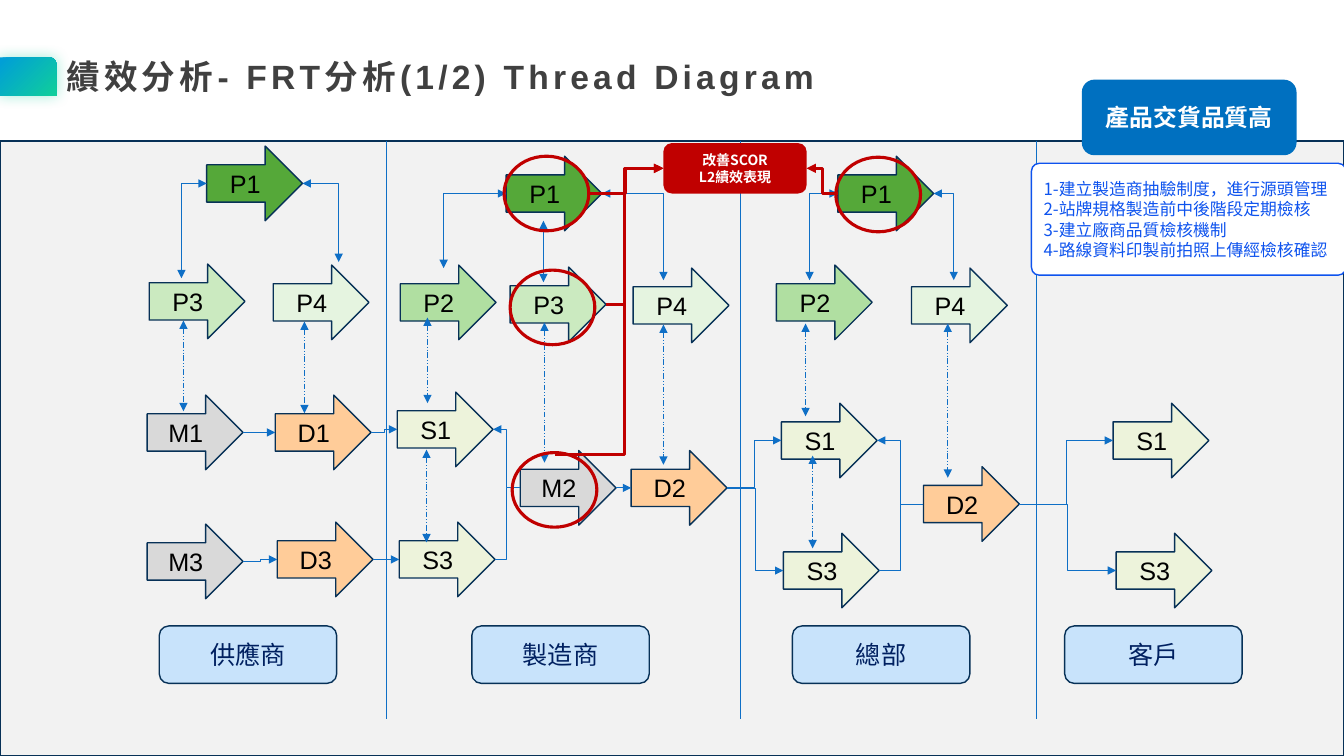
from pptx import Presentation, util as u
from pptx.dml.color import RGBColor
from pptx.enum import dml, shapes, text
from pptx.oxml import parse_xml
from pptx.oxml.ns import nsdecls, qn

HUES = {
    "back": "F2F2F2", "edge": "073157", "blue": "0F6FC6", "tag": "C8E3FB",
    "navy": "002060", "red": "C00000", "goal": "0070C0", "note": "0E53EE",
    "white": "FFFFFF", "black": "000000", "title": "404040",
    "mint": "10CF9B", "sky": "009DD9",
    "P1": "55A839", "P2": "B0DFA1", "P3": "CBEAC0", "P4": "E5F4E0",
    "M": "D9D9D9", "D": "FFCC99", "S": "EDF3DB",
}
CJK = "Noto Sans CJK SC"
KIND = shapes.MSO_SHAPE
LINE = shapes.MSO_CONNECTOR
SIZE = (0.95, 0.74)
PORTS = {"left": (0, 0.5), "right": (1, 0.5)}

LANES = [
    ("供應商", 0, 3.83, 1.58,
     {"M1": (1.46, 2.52), "M3": (1.46, 3.8), "D1": (2.73, 2.52), "D3": (2.75, 3.78),
      "P4": (2.71, 1.23), "P3": (1.48, 1.22), "P1": (2.05, 0.05)},
     {"left": (1.8, 1.36), "right": (3.36, 1.2)},
     [(1.82, 1.78, 2.68), (3.02, 1.79, 2.7)]),
    ("製造商", 3.83, 3.51, 0.85,
     {"S1": (0.11, 2.49), "S3": (0.13, 3.78), "M2": (1.33, 3.07), "D2": (2.43, 3.07),
      "P4": (2.45, 1.26), "P3": (1.23, 1.25), "P2": (0.14, 1.23), "P1": (1.19, 0.15)},
     {"left": (0.57, 1.26), "right": (2.75, 1.38)},
     [(2.75, 1.82, 3.21), (1.57, 1.8, 3.19), (0.41, 1.75, 2.6), (0.4, 3.06, 3.98)]),
    ("總部", 7.34, 2.94, 0.52,
     {"D2": (1.82, 3.23), "S1": (0.41, 2.6), "S3": (0.43, 3.89),
      "P4": (1.7, 1.26), "P2": (0.36, 1.23), "P1": (0.97, 0.15)},
     {"left": (0.69, 1.38), "right": (2.12, 1.38)},
     [(2.06, 1.81, 3.34), (0.65, 1.81, 2.73), (0.72, 3.12, 4.04)]),
    ("客戶", 10.28, 3.05, 0.28,
     {"S1": (0.76, 2.6), "S3": (0.79, 3.89)}, {}, []),
]
FLOWS = [((0, "M1"), (0, "D1")), ((0, "M3"), (0, "D3")), ((0, "D1"), (1, "S1")),
         ((0, "D3"), (1, "S3")), ((1, "D2"), (2, "S1")), ((1, "D2"), (2, "S3")),
         ((2, "D2"), (3, "S1")), ((2, "D2"), (3, "S3"))]
LOOPS = [(1, "M2"), (2, "D2")]
RINGS = [(1, "M2", -0.08, 0.02), (1, "P3", 0, 0.03),
         (1, "P1", -0.02, 0), (2, "P1", -0.02, 0.01)]


def hue(name):
    return RGBColor.from_string(HUES[name])


def style(item, values):
    for key, value in values.items():
        setattr(item, key, value)


def write(shape, lines, size, color, font=CJK, bold=False, align="CENTER", space=0):
    frame = shape.text_frame
    style(frame, {"word_wrap": True, "vertical_anchor": text.MSO_ANCHOR.MIDDLE})
    for i, words in enumerate(lines):
        para = frame.paragraphs[0] if i == 0 else frame.add_paragraph()
        para.alignment = getattr(text.PP_ALIGN, align)
        run = para.add_run()
        run.text = words
        style(run.font, {"size": u.Pt(size), "name": font, "bold": bold})
        run.font.color.rgb = hue(color)
        props = run.font._element
        props.append(parse_xml(f'<a:ea {nsdecls("a")} typeface="{font}"/>'))
        if space:
            props.set("spc", str(space * 100))


def block(slide, kind, box, fill=None, line=None, width=1):
    shape = slide.shapes.add_shape(kind, *map(u.Inches, box))
    shape.shadow.inherit = False
    if fill:
        shape.fill.solid()
        shape.fill.fore_color.rgb = hue(fill)
    else:
        shape.fill.background()
    if line:
        shape.line.color.rgb = hue(line)
        shape.line.width = u.Pt(width)
    else:
        shape.line.fill.background()
    return shape


def link(slide, start, end, kind=LINE.STRAIGHT, ends="", dash=False,
         color="blue", width=0.5, corner=False, bend=None):
    wire = slide.shapes.add_connector(kind, *map(u.Inches, (*start, *end)))
    wire.line.width = u.Pt(width)
    wire.line.color.rgb = hue(color)
    if dash:
        wire.line.dash_style = dml.MSO_LINE.DASH_DOT_DOT
    props = wire.element.spPr
    pen = props.find(qn("a:ln"))
    for tip in ends.split():
        pen.append(parse_xml(f'<a:{tip} {nsdecls("a")} type="triangle"/>'))
    props.append(parse_xml(f'<a:effectLst {nsdecls("a")}/>'))
    shape = props.find(qn("a:prstGeom"))
    if corner:
        shape.set("prst", "bentConnector2")
    if bend:
        shape.find(qn("a:avLst")).append(parse_xml(
            f'<a:gd {nsdecls("a")} name="adj1" fmla="val {round(bend * 100000)}"/>'))
    return wire


def port(shape, side):
    across, down = PORTS[side]
    return ((shape.left + shape.width * across) / 914400,
            (shape.top + shape.height * down) / 914400)


def header(slide, box):
    x, y, w, h = box
    badge = block(slide, KIND.ROUND_1_RECTANGLE, (x, y + 0.06, 0.56, 0.38), "mint")
    props = badge.element.spPr
    props.replace(props.find(qn("a:solidFill")), parse_xml(
        f'<a:gradFill {nsdecls("a")}><a:gsLst>'
        f'<a:gs pos="0"><a:srgbClr val="{HUES["mint"]}"/></a:gs>'
        f'<a:gs pos="100000"><a:srgbClr val="{HUES["sky"]}"/></a:gs></a:gsLst>'
        '<a:path path="circle"><a:fillToRect l="100000" t="100000"/></a:path></a:gradFill>'))
    props.find(qn("a:effectLst")).append(parse_xml(
        f'<a:outerShdw {nsdecls("a")} blurRad="127000" dist="0">'
        f'<a:srgbClr val="{HUES["mint"]}"><a:alpha val="40000"/></a:srgbClr></a:outerShdw>'))
    title = slide.shapes.add_textbox(*map(u.Inches, (x + 0.56, y, w - 0.56, h)))
    write(title, ["績效分析- FRT分析(1/2) Thread Diagram"], 24, "title",
          "Arial", True, "LEFT", 3)
    title.text_frame.vertical_anchor = text.MSO_ANCHOR.TOP


def lane(slide, box, name, tab, steps, plans, dots):
    x, y, w, h = box
    if x:
        link(slide, (x, y), (x, y + h))
    tag = block(slide, KIND.ROUNDED_RECTANGLE, (x + tab, y + 4.81, 1.76, 0.57), "tag", "edge")
    write(tag, [name], 18, "navy")
    nodes = {}
    for label, (dx, dy) in steps.items():
        fill = label if label in HUES else label[0]
        nodes[label] = block(slide, KIND.RIGHT_ARROW, (x + dx, y + dy, *SIZE), fill, "edge")
        write(nodes[label], [label], 18, "black", "Arial")
    both = "headEnd tailEnd"
    for side, (dx, dy) in plans.items():
        link(slide, port(nodes["P1"], side), (x + dx, y + dy), LINE.ELBOW, both, corner=True)
    for dx, top, low in dots:
        link(slide, (x + dx, y + top), (x + dx, y + low), ends=both, dash=True)
    return nodes


def flows(slide, nodes):
    for (a, start), (b, end) in FLOWS:
        link(slide, port(nodes[a][start], "right"), port(nodes[b][end], "left"),
             LINE.ELBOW, "tailEnd")
    for i, start in LOOPS:
        source = port(nodes[i][start], "left")
        goal = port(nodes[i]["S1"], "right")
        link(slide, source, goal, LINE.ELBOW, "tailEnd")
        link(slide, port(nodes[i]["S3"], "right"), ((source[0] + goal[0]) / 2, source[1]),
             LINE.ELBOW, corner=True)
    maker = nodes[1]
    wire = link(slide, port(maker["M2"], "right"), port(maker["D2"], "left"), ends="tailEnd")
    wire.begin_connect(maker["M2"], 3)
    wire.end_connect(maker["D2"], 1)
    x, y = port(maker["P1"], "left")
    link(slide, (x + 0.37, y + 0.27), (x + 0.37, y + 0.88), ends="headEnd tailEnd")


def focus(slide, box, nodes):
    for i, label, dx, dy in RINGS:
        x, y = port(nodes[i][label], "left")
        block(slide, KIND.OVAL, (x + dx, y - 0.37 + dy, 0.84, 0.74), None, "red", 2.25)
    goal = block(slide, KIND.ROUNDED_RECTANGLE, box, "red")
    write(goal, ["改善SCOR", "L2績效表現"], 10, "white", bold=True)
    x, y = port(goal, "left")
    pen = {"kind": LINE.ELBOW, "color": "red", "width": 2.25}
    link(slide, (x - 0.74, y + 0.25), (x, y), ends="tailEnd", bend=0.49, **pen)
    link(slide, port(nodes[1]["P3"], "right"), (x, y), ends="tailEnd", bend=0.32, **pen)
    link(slide, port(nodes[2]["P1"], "left"), port(goal, "right"), ends="tailEnd", **pen)
    link(slide, (x - 1.08, y + 2.84), (x - 0.39, y + 1.35), corner=True, **pen)


def notes(slide, box):
    x, y, w, h = box
    head = block(slide, KIND.ROUNDED_RECTANGLE, (x + 0.5, y, 2.13, 0.75), "goal")
    write(head, ["產品交貨品質高"], 17, "white", bold=True)
    card = block(slide, KIND.ROUNDED_RECTANGLE, (x, y + 0.83, w, h - 0.83), "white", "note")
    card.adjustments[0] = 0.07
    card.text_frame.margin_right = u.Inches(0.05)
    write(card, ["1-建立製造商抽驗制度，進行源頭管理", "2-站牌規格製造前中後階段定期檢核",
                 "3-建立廠商品質檢核機制", "4-路線資料印製前拍照上傳經檢核確認"],
          12, "note", align="LEFT")


def main():
    deck = Presentation()
    style(deck, {"slide_width": u.Inches(13.33), "slide_height": u.Inches(7.5)})
    slide = deck.slides.add_slide(deck.slide_layouts[6])
    header(slide, (0, 0.51, 8.33, 0.5))
    block(slide, KIND.RECTANGLE, (0, 1.4, 13.33, 6.1), "back", "edge")
    nodes = [lane(slide, (x, 1.4, w, 5.73), name, *parts) for name, x, w, *parts in LANES]
    flows(slide, nodes)
    focus(slide, (6.58, 1.42, 1.42, 0.5), nodes)
    notes(slide, (10.23, 0.79, 3.12, 1.94))
    deck.save("out.pptx")


if __name__ == "__main__":
    main()
